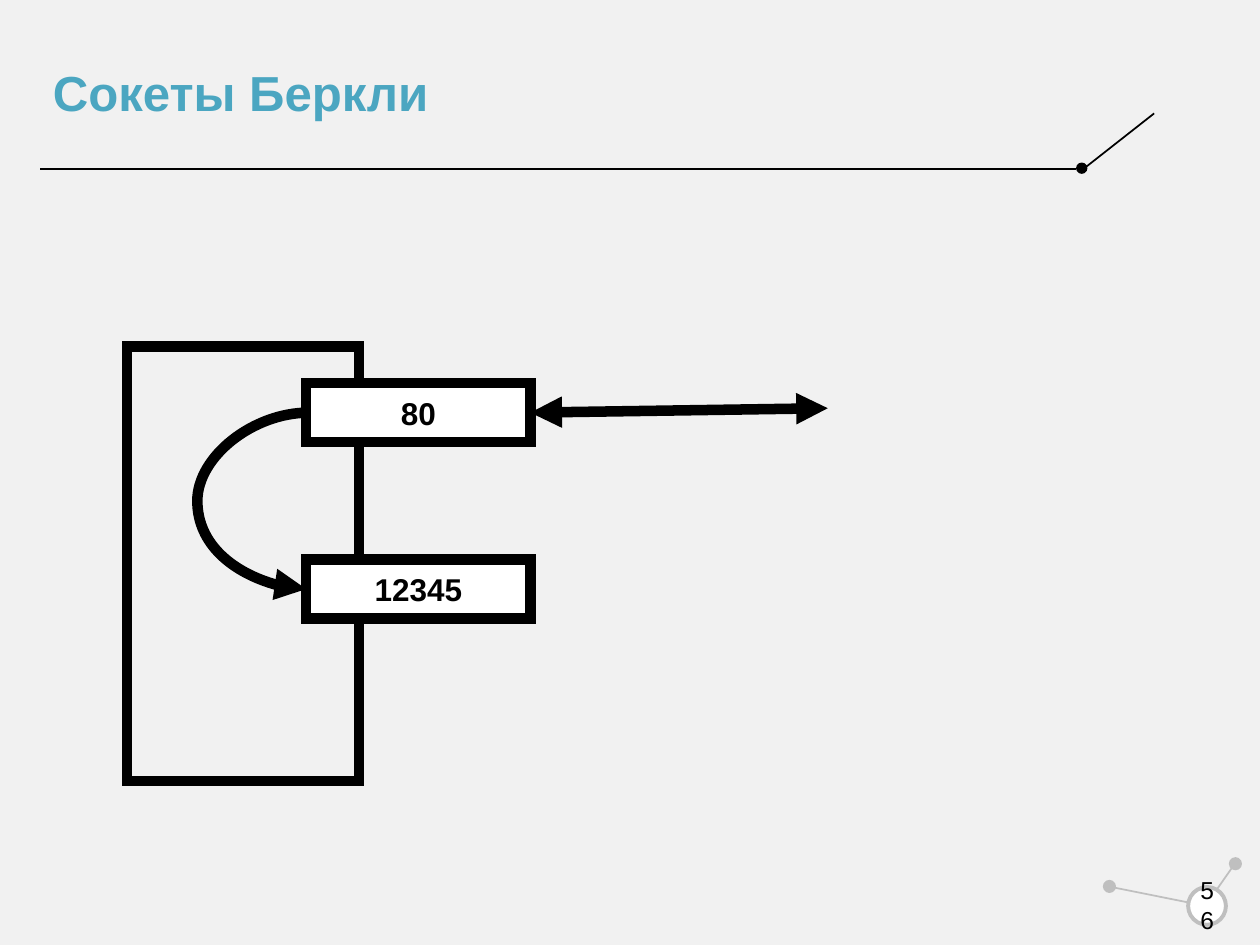
import pptx
import pptx.dml.color
import pptx.enum.shapes
import pptx.enum.text
import pptx.oxml
import pptx.oxml.ns
import pptx.util
from lxml import etree

Inches, Pt = pptx.util.Inches, pptx.util.Pt
SHAPE = pptx.enum.shapes.MSO_SHAPE
LINK = pptx.enum.shapes.MSO_CONNECTOR
ALIGN = pptx.enum.text.PP_ALIGN
MIDDLE = pptx.enum.text.MSO_ANCHOR.MIDDLE

# Content
TITLE = "Сокеты Беркли"
PAGE_NUMBER = "56"
PORTS = [("80", 3.04), ("12345", 4.44)]  # label, top
PORT_LEFT, PORT_WIDTH, PORT_HEIGHT = 2.43, 1.78, 0.47
HOST_BOX = (1.01, 2.75, 1.84, 3.45)
CLIENT_END = (6.57, 3.24)
LOOP_LEFT = 1.57
DOT = 0.09

THEME = {
    "font": "Arial", "background": "F1F1F1", "ink": "000000",
    "title": "4BA6C1", "ornament": "BFBFBF", "paper": "FFFFFF",
    "title_size": 28.1, "port_size": 18, "page_size": 14,
    "thin": 1, "ring": 2.25, "thick": 6,
}

deck = pptx.Presentation()
deck.slide_width, deck.slide_height = Inches(10), Inches(7.5)
slide = deck.slides.add_slide(deck.slide_layouts[5])


def color(name):
    return pptx.dml.color.RGBColor.from_string(THEME[name])


def write(frame, text, size, ink="ink", align=ALIGN.CENTER, bold=False):
    frame.word_wrap = True
    frame.vertical_anchor = MIDDLE
    paragraph = frame.paragraphs[0]
    paragraph.alignment = align
    run = paragraph.add_run()
    run.text = text
    run.font.name, run.font.size = THEME["font"], Pt(THEME[size])
    run.font.bold = bold
    run.font.color.rgb = color(ink)
    return paragraph


def add_box(kind, box, fill=None, line=None, weight="thin"):
    shape = slide.shapes.add_shape(kind, *map(Inches, box))
    shape.shadow.inherit = False
    if fill:
        shape.fill.solid()
        shape.fill.fore_color.rgb = color(fill)
    else:
        shape.fill.background()
    if line:
        shape.line.color.rgb = color(line)
        shape.line.width = Pt(THEME[weight])
        etree.SubElement(shape.line._get_or_add_ln(), pptx.oxml.ns.qn("a:miter"),
                         lim="800000")
    else:
        shape.line.fill.background()
    return shape


def add_link(start, end, ink="ink", weight="thin", kind=LINK.STRAIGHT, arrows=()):
    link = slide.shapes.add_connector(kind, *map(Inches, start + end))
    link.line.color.rgb = color(ink)
    link.line.width = Pt(THEME[weight])
    properties = link._element.spPr
    etree.SubElement(properties, pptx.oxml.ns.qn("a:effectLst"))
    for arrow in arrows:
        etree.SubElement(link.line._get_or_add_ln(), pptx.oxml.ns.qn("a:" + arrow),
                         type="triangle")
    return link


# Backdrop, then the title in front of it
add_box(SHAPE.RECTANGLE, (0, 0, 10, 7.5), "background")
heading = slide.shapes.title
slide.shapes._spTree.append(heading._element)
heading.left, heading.top, heading.width, heading.height = map(
    Inches, (0.32, 0.28, 8.22, 0.95))
heading.text_frame.auto_size = pptx.enum.text.MSO_AUTO_SIZE.NONE
write(heading.text_frame, TITLE, "title_size", "title", ALIGN.LEFT,
      True).line_spacing = 0.9

# Rule under the title
add_link((0.32, 1.34), (8.54, 1.34))
add_box(SHAPE.OVAL, (8.54, 1.29, DOT, DOT), "ink")
add_link((8.6, 1.34), (9.16, 0.9))

# Page number ornament
for left, top, start, end in [(9.76, 6.81, (9.79, 6.87), (9.65, 7.07)),
                              (8.76, 6.99, (8.82, 7.04), (9.52, 7.18))]:
    add_box(SHAPE.OVAL, (left, top, DOT, DOT), "ornament", "ornament")
    add_link(start, end, "ornament")
add_box(SHAPE.OVAL, (9.43, 7.04, 0.3, 0.3), "paper", "ornament", "ring")
page = slide.shapes.add_textbox(*map(Inches, (9.37, 6.98, 0.42, 0.4)))
page.text_frame.margin_left = page.text_frame.margin_right = Inches(0.11)
write(page.text_frame, PAGE_NUMBER, "page_size")

# Host with its ports
add_box(SHAPE.RECTANGLE, HOST_BOX, None, "ink", "thick")
for label, top in PORTS:
    port = add_box(SHAPE.RECTANGLE, (PORT_LEFT, top, PORT_WIDTH, PORT_HEIGHT),
                   "paper", "ink", "thick")
    write(port.text_frame, label, "port_size", bold=True)

# Client connection and hand-over to the second port
listen_y, session_y = (top + PORT_HEIGHT / 2 for _, top in PORTS)
add_link(CLIENT_END, (PORT_LEFT + PORT_WIDTH, listen_y), weight="thick",
         arrows=("headEnd", "tailEnd"))
loop_start = PORT_LEFT + 0.02
loop = add_link((loop_start, listen_y), (PORT_LEFT, session_y), weight="thick",
                kind=LINK.CURVE, arrows=("tailEnd",))
bulge = round((loop_start - LOOP_LEFT) / (loop_start - PORT_LEFT) * 100000)
guides = loop._element.spPr.prstGeom.get_or_add_avLst()
etree.SubElement(guides, pptx.oxml.ns.qn("a:gd"), name="adj1", fmla=f"val {bulge}")

deck.save("out.pptx")
